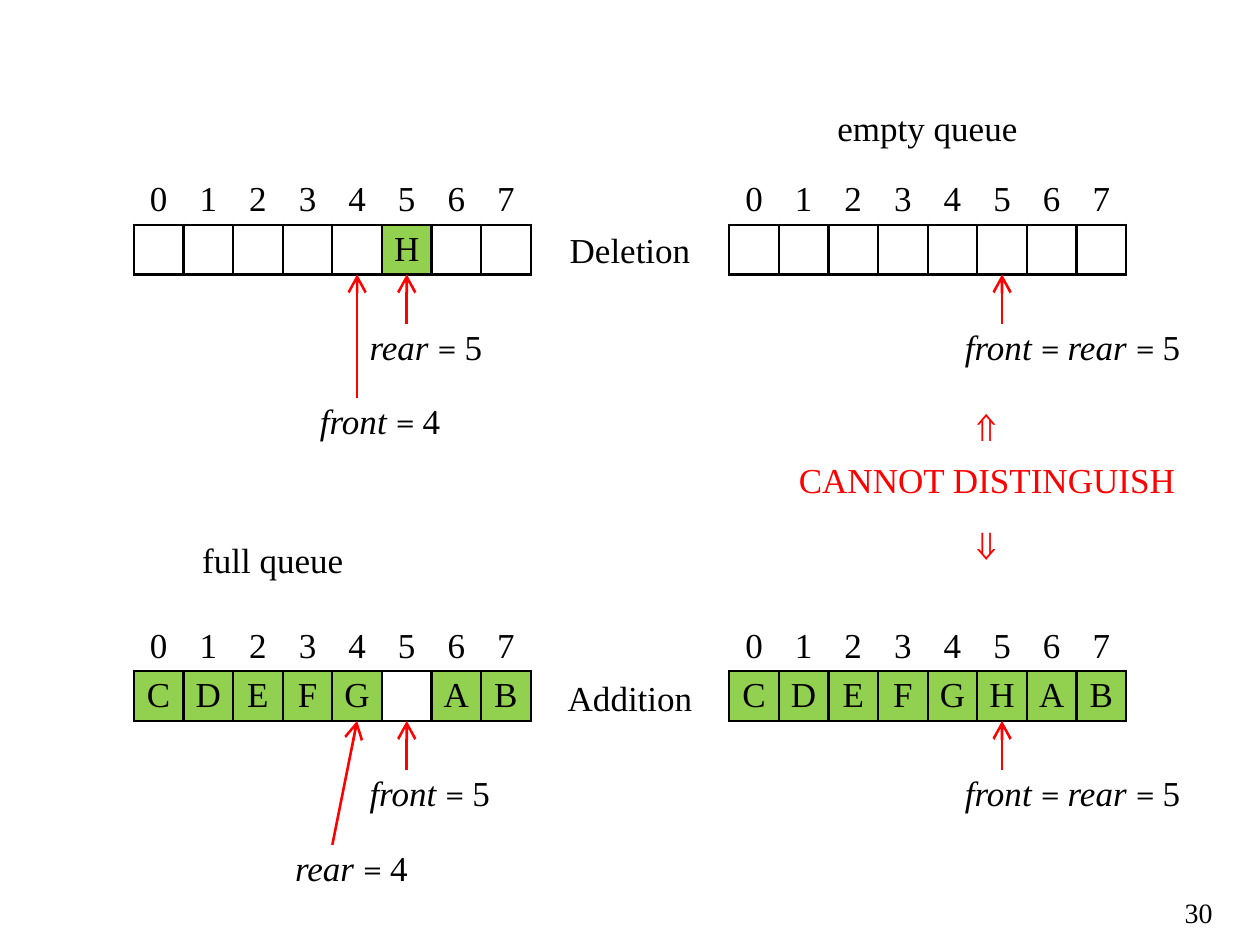
"""Build a slide showing why full and empty circular queues look alike."""
import pptx
import pptx.dml.color
import pptx.enum.shapes
import pptx.enum.text
import pptx.oxml
import pptx.oxml.ns
import pptx.util

Pt = pptx.util.Pt
ALIGN = pptx.enum.text.PP_ALIGN
ANCHOR = pptx.enum.text.MSO_ANCHOR

BLACK = pptx.dml.color.RGBColor(0x00, 0x00, 0x00)
WHITE = pptx.dml.color.RGBColor(0xFF, 0xFF, 0xFF)
RED = pptx.dml.color.RGBColor(0xFF, 0x00, 0x00)
GREEN = pptx.dml.color.RGBColor(0x92, 0xD0, 0x50)

SERIF = "Times New Roman"
MATH = "Cambria"
CELL = 28.35
SLOTS = 8
LEFT, RIGHT = 76.5, 76.5 + 12 * CELL
UPPER, LOWER = 100.1, 100.1 + 9 * CELL
LINE_WIDTH = 1.5
SIDE_MARGIN = 7.2


def add_span(para, text, size=20, color=BLACK, font=SERIF, italic=False):
    span = para.add_run()
    span.text = text
    span.font.name = font
    span.font.size = Pt(size)
    span.font.bold = False
    span.font.italic = italic
    span.font.color.rgb = color


def add_box(page, left, top, width, height, align, anchor, wrap, margin=SIDE_MARGIN):
    box = page.shapes.add_textbox(Pt(left), Pt(top), Pt(width), Pt(height))
    frame = box.text_frame
    frame.word_wrap = wrap
    frame.vertical_anchor = anchor
    frame.margin_left = frame.margin_right = Pt(margin)
    para = frame.paragraphs[0]
    para.alignment = align
    return para


def add_caption(page, text, center, top, width, height=CELL, size=20,
                color=BLACK, anchor=ANCHOR.TOP):
    para = add_box(page, center - width / 2, top, width, height,
                   ALIGN.CENTER, anchor, False, margin=0)
    add_span(para, text, size, color)


def add_equation(page, left, top, width, names, value):
    para = add_box(page, left, top, width, CELL, ALIGN.LEFT, ANCHOR.BOTTOM, True)
    for name in names:
        add_span(para, name + " ", italic=True)
        add_span(para, "= ", font=MATH)
    add_span(para, value)


def add_arrow(page, start, end):
    arrow = page.shapes.add_connector(
        pptx.enum.shapes.MSO_CONNECTOR.STRAIGHT, *map(Pt, start + end))
    arrow.line.color.rgb = RED
    arrow.line.width = Pt(LINE_WIDTH)
    namespace = pptx.oxml.ns.nsdecls("a")
    arrow.line._get_or_add_ln().append(pptx.oxml.parse_xml(
        f'<a:tailEnd {namespace} type="arrow" w="lg" len="lg"/>'))
    arrow._element.spPr.append(pptx.oxml.parse_xml(f"<a:effectLst {namespace}/>"))


def add_borders(cell, sides):
    for side in sides:
        cell._tc.get_or_add_tcPr().append(pptx.oxml.parse_xml(
            f'<a:ln{side} {pptx.oxml.ns.nsdecls("a")} w="{Pt(LINE_WIDTH)}">'
            f'<a:solidFill><a:srgbClr val="{BLACK}"/></a:solidFill></a:ln{side}>'))


def write_cell(cell, text):
    cell.margin_left = cell.margin_right = cell.margin_top = cell.margin_bottom = 0
    cell.vertical_anchor = ANCHOR.MIDDLE
    para = cell.text_frame.paragraphs[0]
    para.alignment = ALIGN.CENTER
    if text:
        add_span(para, text)


def add_queue(page, left, top, items):
    table = page.shapes.add_table(2, SLOTS, Pt(left), Pt(top),
                                  Pt(SLOTS * CELL), Pt(2 * CELL)).table
    table.first_row = table.horz_banding = False
    for row in table.rows:
        row.height = Pt(CELL)
    for index, item in enumerate(items):
        table.columns[index].width = Pt(CELL)
        heading, slot = table.cell(0, index), table.cell(1, index)
        write_cell(heading, str(index))
        add_borders(heading, "B")
        heading.fill.background()
        write_cell(slot, item.strip())
        add_borders(slot, "LRTB")
        slot.fill.solid()
        slot.fill.fore_color.rgb = GREEN if item.strip() else WHITE


def add_pointer(page, left, top, names, value, width, drop, label, start, end):
    """Label a queue slot; drop, label, start and end count cells from the queue."""
    bottom = top + 2 * CELL
    label_top = bottom + drop * CELL
    add_equation(page, left + label * CELL, label_top, width, names, value)
    add_arrow(page, (left + start * CELL, label_top), (left + end * CELL, bottom))


def main():
    deck = pptx.Presentation()
    deck.slide_width, deck.slide_height = Pt(720), Pt(540)
    page = deck.slides.add_slide(deck.slide_layouts[6])

    number = add_box(page, 666, 508.3, 34, 23, ALIGN.RIGHT, ANCHOR.TOP, True)
    add_span(number, "30", size=16)

    add_caption(page, "Deletion", 360, 128.2, 85, anchor=ANCHOR.MIDDLE)
    add_caption(page, "empty queue", 530, 57.6, 113)
    add_caption(page, "Addition", 360, 383.3, 85)
    add_caption(page, "full queue", 155.9, 304.2, 113, 34)
    add_caption(page, "CANNOT DISTINGUISH", 564, 258.5, 227, 34, color=RED)
    for symbol, top in (("⇑", 224.6), ("⇓", 293)):
        add_caption(page, symbol, 564, top, 45, 34, 24, RED)

    for left, top, items in ((LEFT, LOWER, "CDEFG AB"), (RIGHT, LOWER, "CDEFGHAB"),
                             (LEFT, UPPER, "     H  "), (RIGHT, UPPER, " " * SLOTS)):
        add_queue(page, left, top, items)

    add_pointer(page, LEFT, LOWER, ["front"], "5", 99, 1, 4.5, 5.5, 5.5)
    add_pointer(page, LEFT, LOWER, ["rear"], "4", 85, 2.5, 3, 4, 4.5)
    add_pointer(page, LEFT, UPPER, ["front"], "4", 99, 2.5, 3.5, 4.5, 4.5)
    add_pointer(page, LEFT, UPPER, ["rear"], "5", 85, 1, 4.5, 5.5, 5.5)
    for top in (LOWER, UPPER):
        add_pointer(page, RIGHT, top, ["front", "rear"], "5", 156, 1, 4.5, 5.5, 5.5)

    deck.save("out.pptx")


if __name__ == "__main__":
    main()
